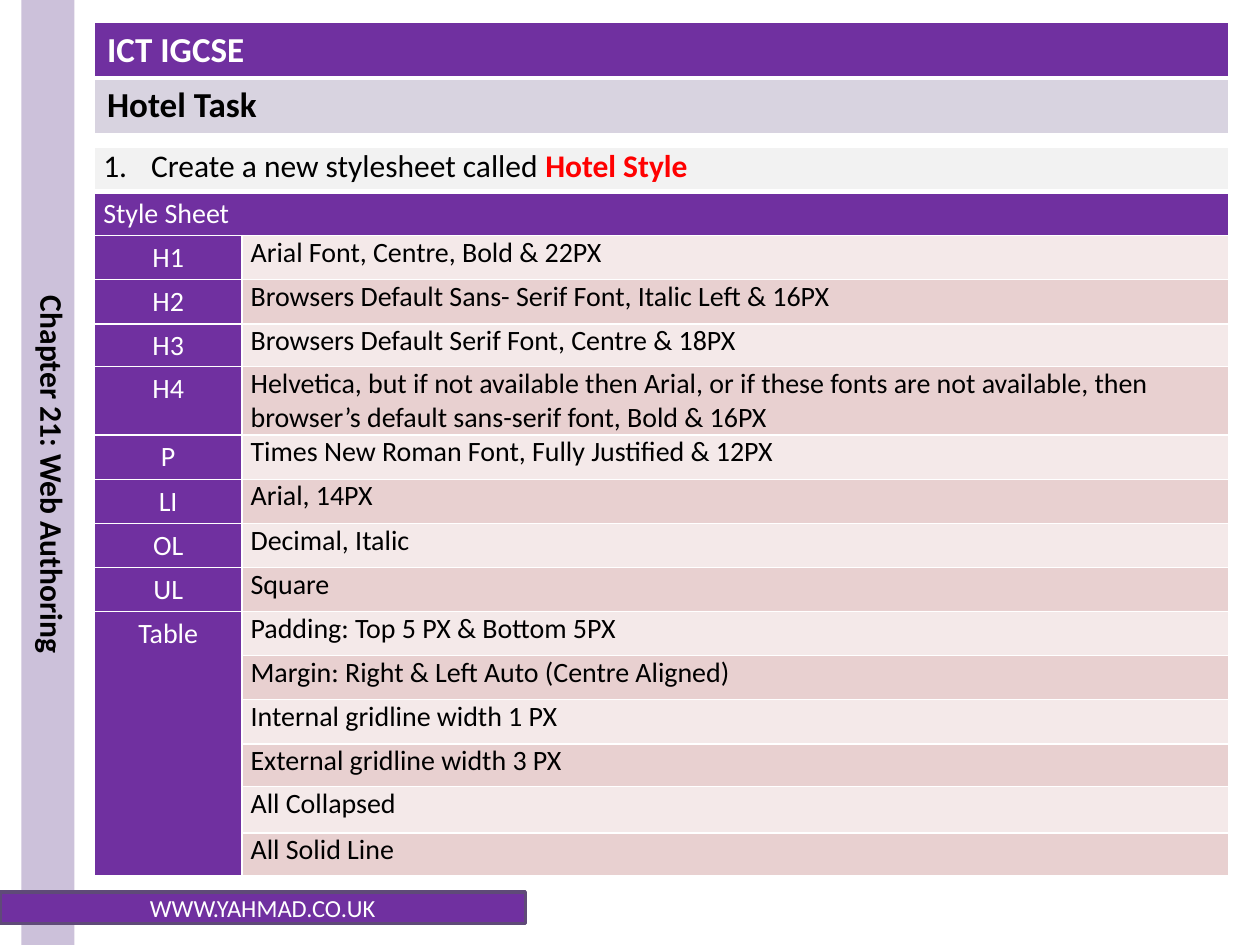
from lxml import etree
from pptx import Presentation
from pptx.dml.color import RGBColor
from pptx.enum.shapes import MSO_SHAPE
from pptx.enum.text import MSO_ANCHOR, MSO_AUTO_SIZE, PP_ALIGN
from pptx.oxml.ns import qn
from pptx.util import Inches, Pt

RECT = MSO_SHAPE.RECTANGLE
CENTER = PP_ALIGN.CENTER
MIDDLE = MSO_ANCHOR.MIDDLE
GROW = MSO_AUTO_SIZE.SHAPE_TO_FIT_TEXT

# Content
HEADS = ["ICT IGCSE", "Hotel Task"]
SIDE = "Chapter 21: Web Authoring"
SITE = "WWW.YAHMAD.CO.UK"
TASK = ["Create a new stylesheet called ", "Hotel Style"]
SHEET = "Style Sheet"
RULES = [
    ("H1", ["Arial Font, Centre, Bold & 22PX"]),
    ("H2", ["Browsers Default Sans- Serif Font, Italic Left & 16PX"]),
    ("H3", ["Browsers Default Serif Font, Centre & 18PX"]),
    ("H4", ["Helvetica, but if not available then Arial, or if these fonts are "
            "not available, then browser’s default sans-serif font, Bold & 16PX"]),
    ("P", ["Times New Roman Font, Fully Justified & 12PX"]),
    ("LI", ["Arial, 14PX"]),
    ("OL", ["Decimal, Italic"]),
    ("UL", ["Square"]),
    ("Table", ["Padding: Top 5 PX & Bottom 5PX",
               "Margin: Right & Left Auto (Centre Aligned)",
               "Internal gridline width 1 PX",
               "External gridline width 3 PX",
               "All Collapsed",
               "All Solid Line"]),
]

THEME = {
    "font": "Calibri",
    "purple": "7030A0", "lilac": "D8D3E0", "side": "CCC1DA", "edge": "5F4A78",
    "grey": "F2F2F2", "bands": ["F4E9E9", "E8D0D0"],
    "white": "FFFFFF", "black": "000000", "red": "FF0000",
    "title": 20, "lead": 18, "body": 16, "foot": 14,
}
LEFT, WIDTH, LABEL = 0.75, 9, 1.17
ROW = 0.35
ODD = {4: 0.34, 5: 0.34, 13: 0.34, 14: 0.37, 15: 0.34}


def paint(fill, color):
    fill.solid()
    fill.fore_color.rgb = RGBColor.from_string(color)


def write(para, text, size, color="black", bold=False):
    run = para.add_run()
    run.text = text
    form = {"name": THEME["font"], "size": Pt(THEME[size]), "bold": bold}
    for key, value in form.items():
        setattr(run.font, key, value)
    run.font.color.rgb = RGBColor.from_string(THEME[color])


def border(cell, base):
    props = cell._tc.get_or_add_tcPr()
    for side in "LRTB":
        width = base if side == "B" else 1
        line = etree.SubElement(props, qn("a:ln" + side), w=str(Pt(width)))
        fill = etree.SubElement(line, qn("a:solidFill"))
        etree.SubElement(fill, qn("a:srgbClr"), val=THEME["white"])


def grid(top, cols, rows):
    size = [Inches(n) for n in (LEFT, top, WIDTH, sum(rows))]
    table = slide.shapes.add_table(len(rows), len(cols), *size).table
    table.first_row = table.horz_banding = False
    for part, sizes in ((table.columns, cols), (table.rows, rows)):
        for item, length in zip(part, sizes):
            if part is table.columns:
                item.width = Inches(length)
            else:
                item.height = Inches(length)
    for r in range(len(rows)):
        for c in range(len(cols)):
            border(table.cell(r, c), 3 if r == 0 else 1)
    return table


def fit(cell, color):
    paint(cell.fill, color)
    form = {"margin_left": 0.07, "margin_right": 0.07,
            "margin_top": 0, "margin_bottom": 0}
    for key, value in form.items():
        setattr(cell, key, Inches(value))
    return cell.text_frame.paragraphs[0]


def bar(x, y, w, h, color):
    shape = slide.shapes.add_shape(RECT, *[Inches(n) for n in (x, y, w, h)])
    shape.shadow.inherit = False
    paint(shape.fill, color)
    shape.line.fill.background()
    return shape


deck = Presentation()
deck.slide_width, deck.slide_height = Inches(10), Inches(7.5)
slide = deck.slides.add_slide(deck.slide_layouts[6])

# Title rows
head = grid(0.18, [WIDTH], [0.42, 0.41])
looks = [("purple", "white"), ("lilac", "black")]
for row, (text, (back, ink)) in enumerate(zip(HEADS, looks)):
    cell = head.cell(row, 0)
    paint(cell.fill, THEME[back])
    write(cell.text_frame.paragraphs[0], text, "title", ink, True)

# Side band with the chapter name
bar(0.17, 0, 0.42, 7.5, THEME["side"])
box = slide.shapes.add_textbox(*[Inches(n) for n in (0.12, 2.25, 0.5, 5.25)])
frame = box.text_frame
frame.word_wrap = True
frame.auto_size = GROW
frame._txBody.bodyPr.set("vert", "vert")
write(frame.paragraphs[0], SIDE, "lead", bold=True)

# Footer
foot = bar(0, 7.08, 4.17, 0.25, THEME["purple"])
paint(foot.line.fill, THEME["edge"])
foot.line.width = Pt(2)
foot.text_frame.vertical_anchor = MIDDLE
para = foot.text_frame.paragraphs[0]
para.alignment = CENTER
write(para, SITE, "foot", "white")

# Task table: two full-width rows, then the rules
count = 2 + sum(len(notes) for _, notes in RULES)
table = grid(1.17, [LABEL, WIDTH - LABEL], [ODD.get(r, ROW) for r in range(count)])
for row in range(2):
    table.cell(row, 0).merge(table.cell(row, 1))

para = fit(table.cell(0, 0), THEME["grey"])
props = para._p.get_or_add_pPr()
props.set("marL", str(Inches(0.38)))
props.set("indent", str(-Inches(0.38)))
etree.SubElement(props, qn("a:buFont"), typeface="+mj-lt")
etree.SubElement(props, qn("a:buAutoNum"), type="arabicPeriod")
write(para, TASK[0], "lead")
write(para, TASK[1], "lead", "red", True)

para = fit(table.cell(1, 0), THEME["purple"])
para.line_spacing = 1.15
write(para, SHEET, "body", "white")

row = 2
for name, notes in RULES:
    label = table.cell(row, 0)
    if len(notes) > 1:
        label.merge(table.cell(row + len(notes) - 1, 0))
    para = fit(label, THEME["purple"])
    para.alignment = CENTER
    para.line_spacing = 1.15
    write(para, name, "body", "white")
    for note in notes:
        write(fit(table.cell(row, 1), THEME["bands"][row % 2]), note, "body")
        row += 1

deck.save("out.pptx")
